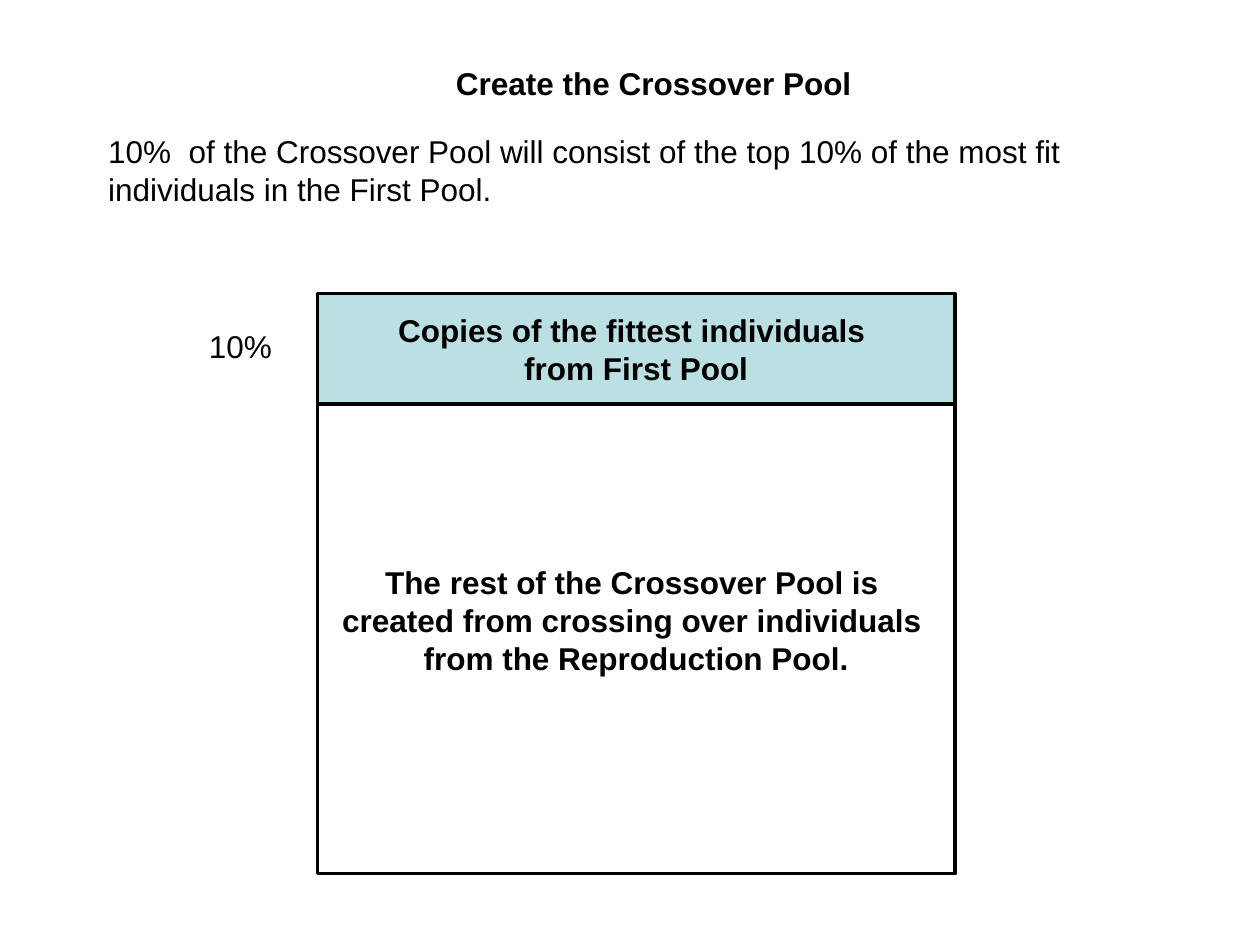
"""Build the crossover pool slide: heading, explanation and a two-part pool."""
from dataclasses import dataclass

from pptx import Presentation
from pptx.dml.color import RGBColor as Rgb
from pptx.enum.shapes import MSO_SHAPE as Shape
from pptx.enum.text import MSO_ANCHOR as Anchor, PP_ALIGN as Align
from pptx.util import Inches, Pt


@dataclass(frozen=True)
class Theme:
    font: str = "Arial"
    size: int = 18
    ink: Rgb = Rgb(0, 0, 0)
    elite: Rgb = Rgb(0xBB, 0xE0, 0xE3)
    paper: Rgb = Rgb(0xFF, 0xFF, 0xFF)
    outline: int = 2


THEME = Theme()
CELL = Inches(0.1)
COLUMNS, ROWS = 100, 75
POOL_LEFT, POOL_WIDTH = 25.2, 50.6
POOL_TOP, ELITE_ROWS, REST_ROWS = 23.3, 8.75, 37.3


def cells(*counts):
    return [round(count * CELL) for count in counts]


def write(frame, text, bold=False, align=Align.LEFT, anchor=Anchor.TOP,
          wrap=True, bottom=0.5):
    frame.word_wrap = wrap
    frame.vertical_anchor = anchor
    frame.margin_bottom = cells(bottom)[0]
    frame.text = text
    for line in frame.paragraphs:
        line.alignment = align
        line.font.name = THEME.font
        line.font.size = Pt(THEME.size)
        line.font.bold = bold
        line.font.color.rgb = THEME.ink


def add_label(slide, area, text, **style):
    label = slide.shapes.add_textbox(*cells(*area))
    write(label.text_frame, text, **style)


def add_pool_part(slide, top, height, fill, text, **style):
    part = slide.shapes.add_shape(
        Shape.RECTANGLE, *cells(POOL_LEFT, top, POOL_WIDTH, height))
    part.shadow.inherit = False
    part.fill.solid()
    part.fill.fore_color.rgb = fill
    part.line.color.rgb = THEME.ink
    part.line.width = Pt(THEME.outline)
    write(part.text_frame, text, bold=True, align=Align.CENTER,
          anchor=Anchor.MIDDLE, wrap=False, **style)


def main():
    deck = Presentation()
    deck.slide_width, deck.slide_height = cells(COLUMNS, ROWS)
    slide = deck.slides.add_slide(deck.slide_layouts[6])

    add_label(slide, (35.2, 4.6, 34.5, 4), "Create the Crossover Pool", bold=True)
    add_label(slide, (7.6, 10, 82.7, 7),
              "10%  of the Crossover Pool will consist of the top 10% "
              "of the most fit individuals in the First Pool.")
    add_pool_part(slide, POOL_TOP, ELITE_ROWS, THEME.elite,
                  "Copies of the fittest individuals \nfrom First Pool")
    add_pool_part(slide, POOL_TOP + ELITE_ROWS, REST_ROWS, THEME.paper,
                  "The rest of the Crossover Pool is \n"
                  "created from crossing over individuals \n"
                  "from the Reproduction Pool.", bottom=3.5)
    add_label(slide, (15.6, 25.5, 7, 4), "10%", wrap=False)

    deck.save("out.pptx")


if __name__ == "__main__":
    main()
